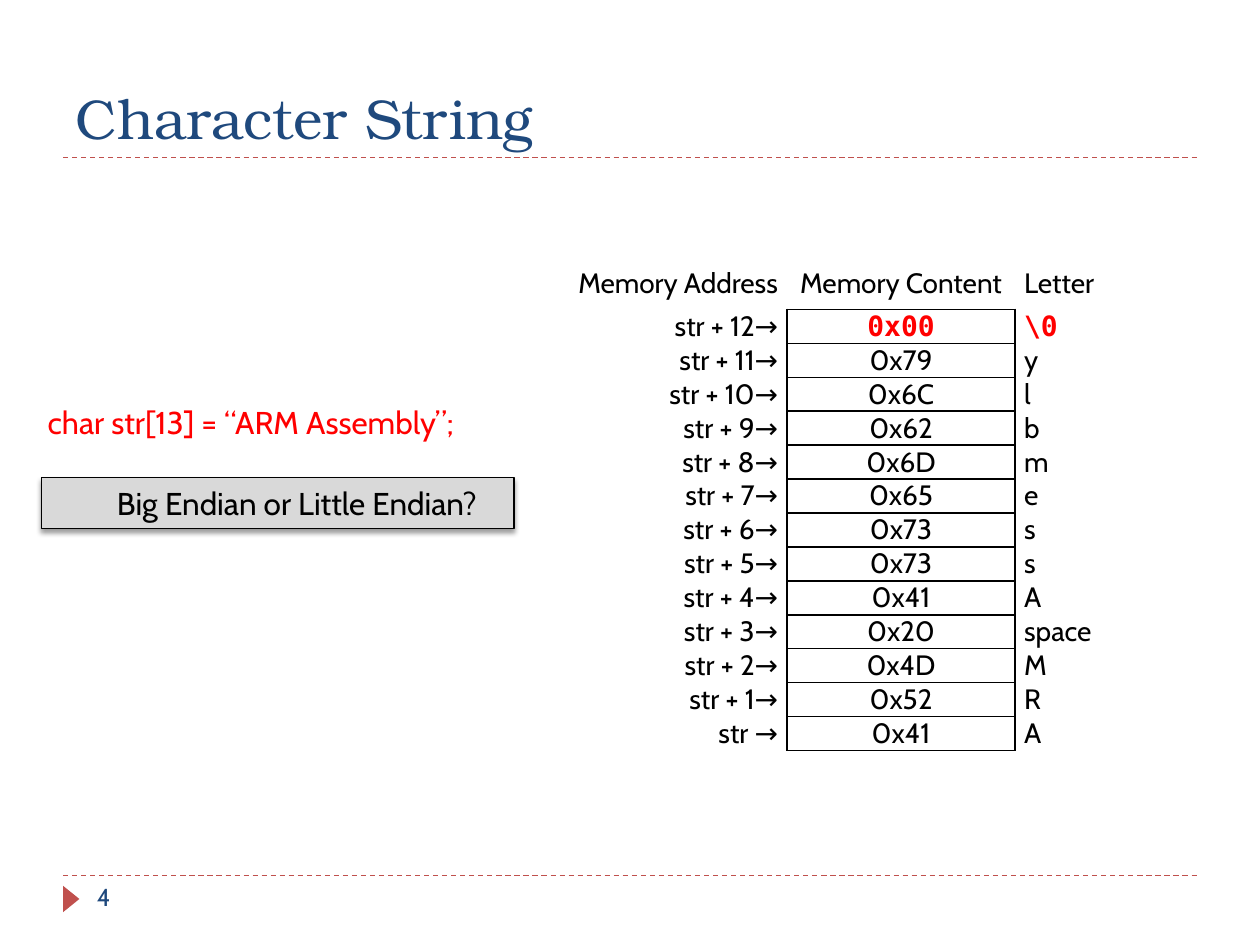
from lxml import etree
from pptx import Presentation
from pptx.dml.color import RGBColor
from pptx.enum import dml, shapes, text
from pptx.oxml import ns
from pptx.util import Pt

HUES = {"ink": "000000", "navy": "1F497D", "brick": "C0504D",
        "red": "FF0000", "gray": "D9D9D9"}
BODY, HEAD, MONO = "Cabin", "TeX Gyre Bonum", "DejaVu Sans Mono"
LEFT, MID, RIGHT = (text.PP_ALIGN.LEFT, text.PP_ALIGN.CENTER,
                    text.PP_ALIGN.RIGHT)
BYTES = [("0x00", "\\0"), ("0x79", "y"), ("0x6C", "l"), ("0x62", "b"),
         ("0x6D", "m"), ("0x65", "e"), ("0x73", "s"), ("0x73", "s"),
         ("0x41", "A"), ("0x20", "space"), ("0x4D", "M"), ("0x52", "R"),
         ("0x41", "A")]


def hue(name):
    return RGBColor.from_string(HUES[name])


def sub(top, tag, **attrs):
    return etree.SubElement(top, ns.qn(tag), attrs)


def write(para, words, size, color="ink", font=BODY, align=LEFT, bold=False):
    para.alignment = align
    run = para.add_run()
    run.text = words
    run.font.size = Pt(size)
    run.font.name = font
    run.font.bold = bold
    run.font.color.rgb = hue(color)


def add_title(slide, words):
    title = slide.shapes.title
    title.left, title.top, title.width, title.height = map(
        Pt, (36, 12.24, 648, 77.76))
    frame = title.text_frame
    frame.auto_size = text.MSO_AUTO_SIZE.NONE
    frame.vertical_anchor = text.MSO_ANCHOR.BOTTOM
    write(frame.paragraphs[0], words, 32, "navy", HEAD)


def add_rule(slide, y):
    rule = slide.shapes.add_connector(
        shapes.MSO_CONNECTOR.STRAIGHT, Pt(36), Pt(y), Pt(684), Pt(y))
    rule.line.color.rgb = hue("brick")
    rule.line.width = Pt(0.75)
    rule.line.dash_style = dml.MSO_LINE.DASH
    sub(rule._element.spPr, "a:effectLst")


def add_mark(slide):
    mark = slide.shapes.add_shape(
        shapes.MSO_SHAPE.ISOSCELES_TRIANGLE,
        Pt(33.12), Pt(509.04), Pt(15.12), Pt(9.36))
    mark.rotation = 90
    mark.shadow.inherit = False
    mark.fill.solid()
    mark.fill.fore_color.rgb = hue("brick")
    mark.line.fill.background()


def add_label(slide, box, words, size, color, align=LEFT, wrap=True):
    label = slide.shapes.add_textbox(*map(Pt, box))
    label.text_frame.word_wrap = wrap
    write(label.text_frame.paragraphs[0], words, size, color, align=align)


def add_query(slide, words):
    query = slide.shapes.add_shape(
        shapes.MSO_SHAPE.RECTANGLE, Pt(23.76), Pt(272.88), Pt(270), Pt(29.08))
    query.shadow.inherit = False
    query.fill.solid()
    query.fill.fore_color.rgb = hue("gray")
    query.line.color.rgb = hue("ink")
    query.line.width = Pt(0.75)
    glow = sub(query._element.spPr.find(ns.qn("a:effectLst")), "a:outerShdw",
               blurRad=str(Pt(3)), dist=str(Pt(2)), dir="5400000",
               rotWithShape="0")
    shade = sub(glow, "a:srgbClr", val=HUES["ink"])
    sub(shade, "a:alpha", val="40000")
    para = query.text_frame.paragraphs[0]
    para.level = 1
    para._p.get_or_add_pPr().set("marL", str(Pt(36)))
    para._p.get_or_add_pPr().set("indent", "0")
    write(para, words, 18)


def set_edges(cell, sides):
    props = cell._tc.get_or_add_tcPr()
    for side in "LRTB":
        edge = sub(props, f"a:ln{side}", w=str(Pt(1)))
        if side in sides:
            sub(sub(edge, "a:solidFill"), "a:srgbClr", val=HUES["ink"])
        else:
            sub(edge, "a:noFill")
    cell.fill.background()


def add_memory(slide):
    last = len(BYTES) - 1
    rows = [("Memory Address", "Memory Content", "Letter")]
    for i, (byte, letter) in enumerate(BYTES):
        spot = f"str + {last - i}→" if i < last else "str →"
        rows.append((spot, byte, letter))
    high = [29.2] + [19.4] * len(BYTES)
    wide = [149.76, 130.32, 68.4]
    grid = slide.shapes.add_table(
        len(rows), len(wide), Pt(300), Pt(147.6),
        Pt(sum(wide)), Pt(sum(high))).table
    grid.first_row = grid.horz_banding = False
    for col, size in zip(grid.columns, wide):
        col.width = Pt(size)
    for r, row in enumerate(rows):
        grid.rows[r].height = Pt(high[r])
        edges = ("R", "LRTB", "L") if r else ("", "B", "")
        for c, words in enumerate(row):
            cell = grid.cell(r, c)
            cell.margin_left = cell.margin_right = Pt(5.2)
            cell.margin_top = cell.margin_bottom = 0
            cell.vertical_anchor = text.MSO_ANCHOR.MIDDLE
            set_edges(cell, edges[c])
            end = r == 1 and c > 0
            write(cell.text_frame.paragraphs[0], words, 16,
                  "red" if end else "ink", MONO if end else BODY,
                  (RIGHT, MID, LEFT)[c], end)


def main():
    deck = Presentation()
    deck.slide_width, deck.slide_height = Pt(720), Pt(540)
    slide = deck.slides.add_slide(deck.slide_layouts[5])
    for y in (500.4, 90):
        add_rule(slide, y)
    add_mark(slide)
    add_title(slide, "Character String")
    add_label(slide, (48.24, 500.4, 156.24, 28.8), "4", 14, "navy")
    add_memory(slide)
    add_label(slide, (18, 226.8, 250.56, 29.08),
              "char str[13] = “ARM Assembly”;", 18, "red", MID, False)
    add_query(slide, "Big Endian or Little Endian?")
    deck.save("out.pptx")


if __name__ == "__main__":
    main()
